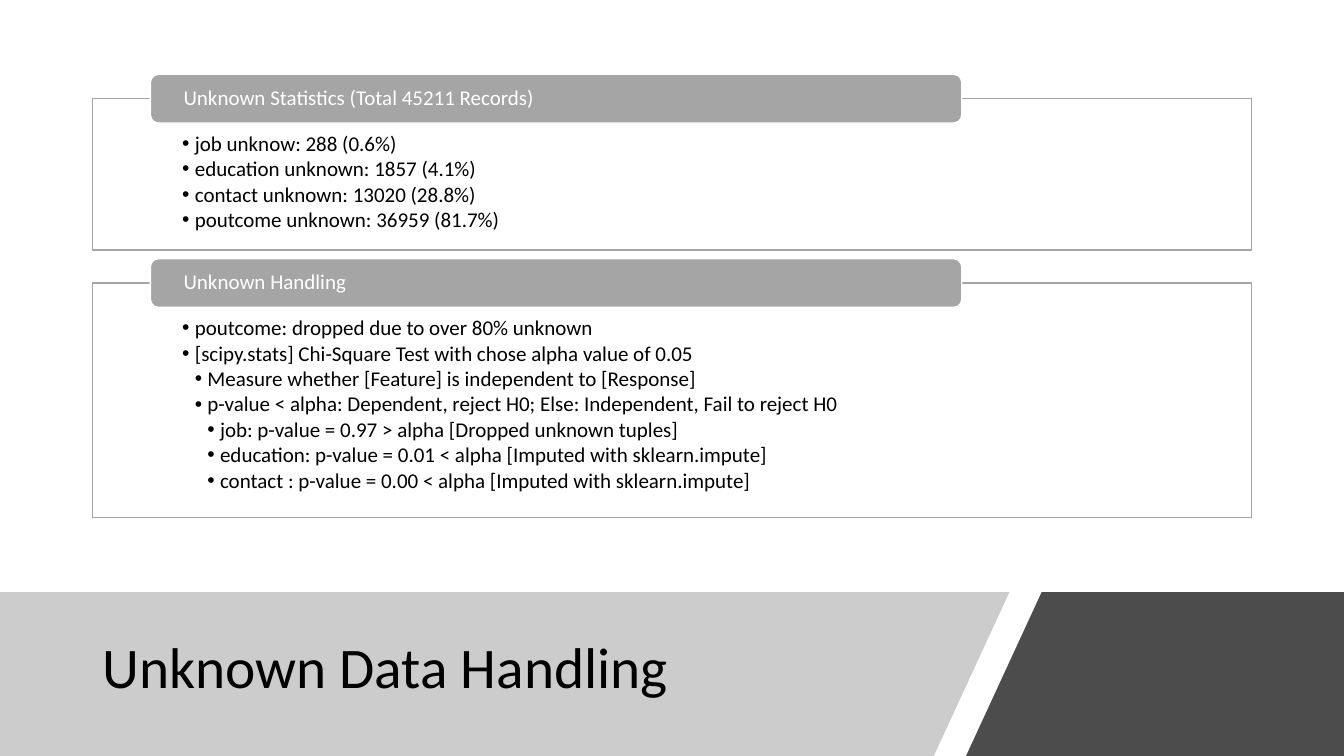
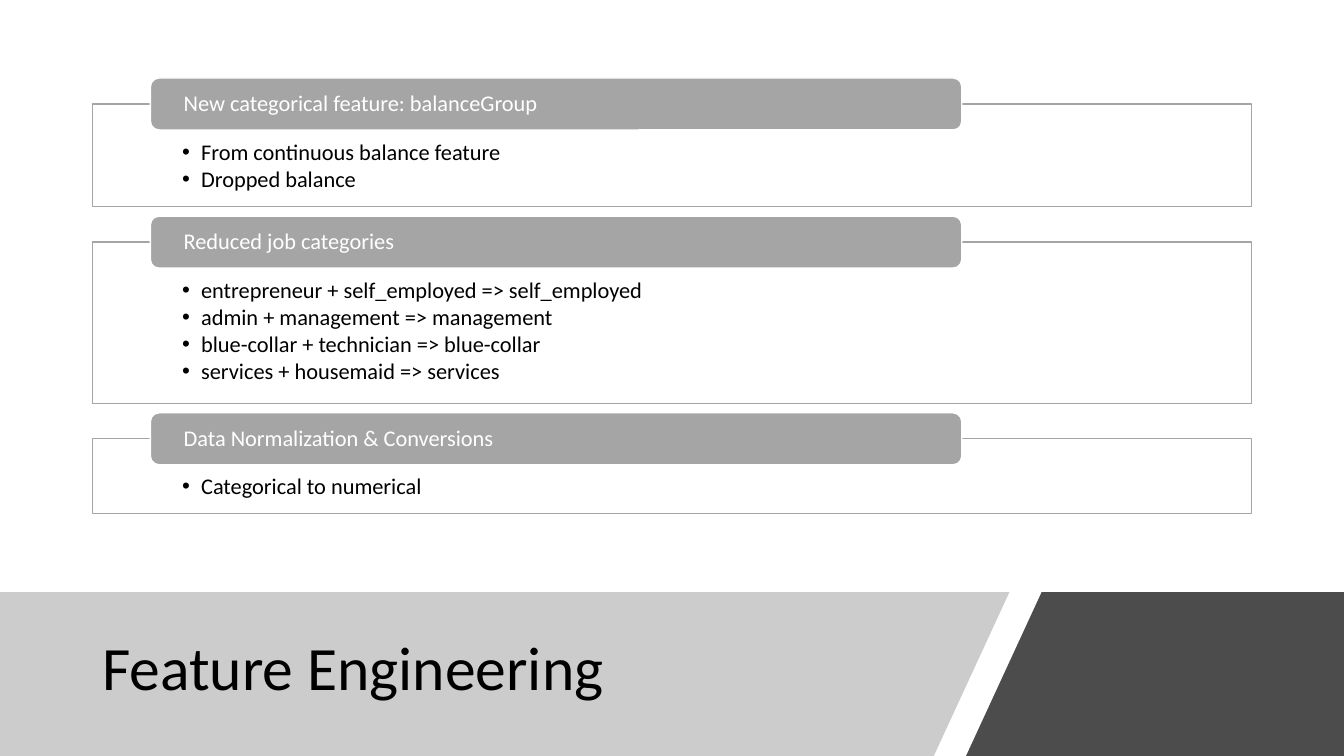
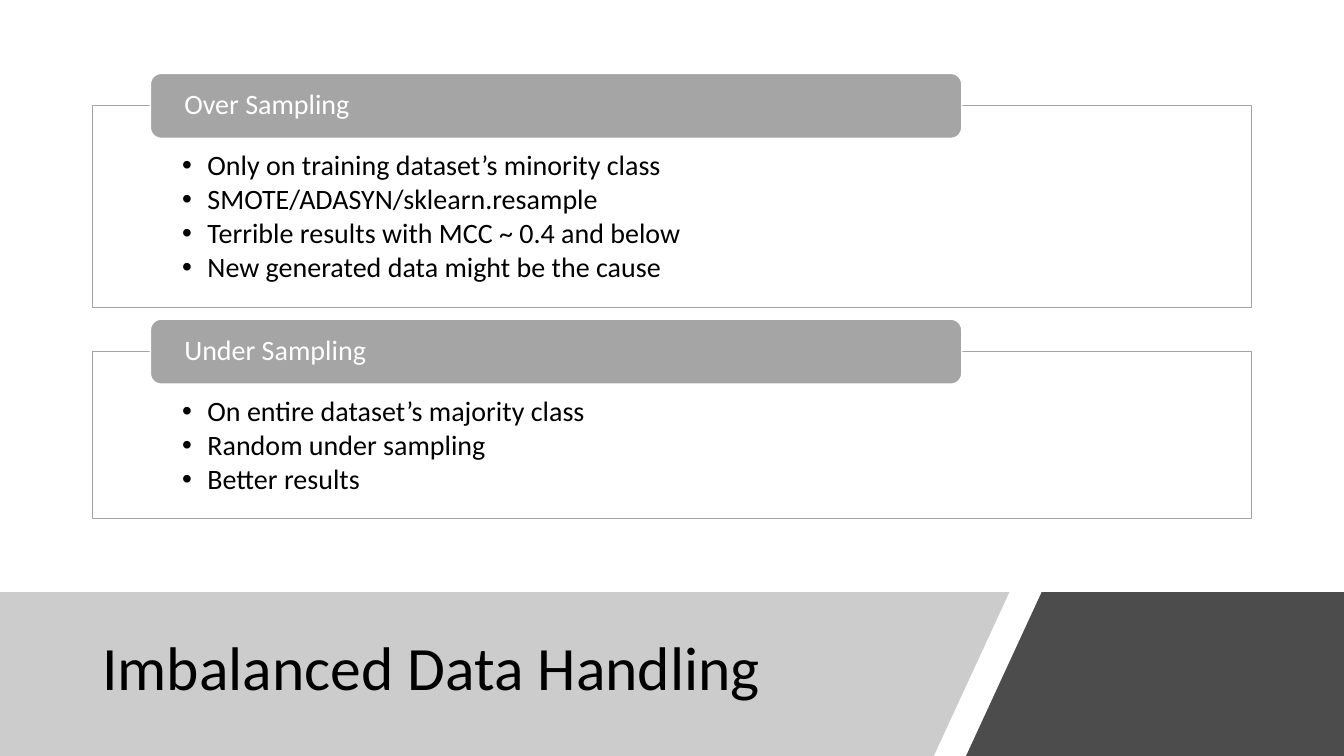
from pptx import Presentation
from pptx.dml.color import RGBColor
from pptx.enum.shapes import MSO_SHAPE
from pptx.enum.text import MSO_ANCHOR, PP_ALIGN
from pptx.oxml.ns import qn
from pptx.util import Pt
from lxml import etree

SLIDES = [
    {
        "title": "Unknown Data Handling", "title_size": 41,
        "size": 15, "indent": 9, "top": 70.5,
        "panels": [
            ("Unknown Statistics (Total 45211 Records)", 108, [
                (1, "job unknow: 288 (0.6%)"),
                (1, "education unknown: 1857 (4.1%)"),
                (1, "contact unknown: 13020 (28.8%)"),
                (1, "poutcome unknown: 36959 (81.7%)"),
            ]),
            ("Unknown Handling", 167.5, [
                (1, "poutcome: dropped due to over 80% unknown"),
                (1, "[scipy.stats] Chi-Square Test with chose alpha value of 0.05"),
                (2, "Measure whether [Feature] is independent to [Response]"),
                (2, "p-value < alpha: Dependent, reject H0; Else: Independent, Fail to reject H0"),
                (3, "job: p-value = 0.97 > alpha [Dropped unknown tuples]"),
                (3, "education: p-value = 0.01 < alpha [Imputed with sklearn.impute]"),
                (3, "contact : p-value = 0.00 < alpha [Imputed with sklearn.impute]"),
            ]),
        ],
    },
    {
        "title": "Feature Engineering", "title_size": 44,
        "size": 16, "indent": 13.5, "top": 74.3,
        "panels": [
            ("New categorical feature: balanceGroup", 73.4, [
                (1, "From continuous balance feature"),
                (1, "Dropped balance"),
            ]),
            ("Reduced job categories", 115.2, [
                (1, "entrepreneur + self_employed => self_employed"),
                (1, "admin + management => management"),
                (1, "blue-collar + technician => blue-collar"),
                (1, "services + housemaid => services"),
            ]),
            ("Data Normalization & Conversions", 53.3, [
                (1, "Categorical to numerical"),
            ]),
        ],
    },
    {
        "title": "Imbalanced Data Handling", "title_size": 44,
        "size": 20, "indent": 18, "top": 75.6,
        "panels": [
            ("Over Sampling", 144, [
                (1, "Only on training dataset\u2019s minority class"),
                (1, "SMOTE/ADASYN/sklearn.resample"),
                (1, "Terrible results with MCC ~ 0.4 and below"),
                (1, "New generated data might be the cause"),
            ]),
            ("Under Sampling", 119, [
                (1, "On entire dataset\u2019s majority class"),
                (1, "Random under sampling"),
                (1, "Better results"),
            ]),
        ],
    },
]

FONT = "Calibri"
BLACK = RGBColor(0x00, 0x00, 0x00)
WHITE = RGBColor(0xFF, 0xFF, 0xFF)
GRAY = RGBColor(0x80, 0x80, 0x80)
TAB_GRAY = RGBColor(0xA5, 0xA5, 0xA5)

WIDTH, HEIGHT = 960, 540
BAND_TOP = 422.6
BANDS = [
    (GRAY, 40, [(0, BAND_TOP), (721.4, BAND_TOP), (666.8, HEIGHT), (0, HEIGHT)]),
    (BLACK, 70, [(744.4, BAND_TOP), (WIDTH, BAND_TOP), (WIDTH, HEIGHT), (689.8, HEIGHT)]),
]
PANEL_LEFT, PANEL_WIDTH = 66, 828
TAB_LEFT = PANEL_LEFT + 0.05 * PANEL_WIDTH
TAB_WIDTH = 0.7 * PANEL_WIDTH
TAB_RATIO, GAP_RATIO, INSET_RATIO, SPACE_RATIO = 2.32, 1.58, 1.64, 0.13


def fill_shape(shape, color, opacity=100):
    shape.shadow.inherit = False
    shape.fill.solid()
    shape.fill.fore_color.rgb = color
    if opacity < 100:
        color_element = shape.fill._xPr.find(qn("a:solidFill"))[0]
        etree.SubElement(color_element, qn("a:alpha")).set("val", str(opacity * 1000))


def set_frame(shape, anchor, insets):
    frame = shape.text_frame
    frame.word_wrap = True
    frame.vertical_anchor = anchor
    frame.margin_left, frame.margin_top, frame.margin_right, frame.margin_bottom = map(Pt, insets)
    return frame


def write(paragraph, text, size, color):
    paragraph.alignment = PP_ALIGN.LEFT
    paragraph.line_spacing = 0.9
    run = paragraph.add_run()
    run.text = text
    run.font.name = FONT
    run.font.size = Pt(size)
    run.font.color.rgb = color


def add_bullet(paragraph, level, indent):
    paragraph.level = level
    properties = paragraph._p.get_or_add_pPr()
    properties.set("marL", str(Pt(indent * level)))
    properties.set("indent", str(-Pt(indent)))
    etree.SubElement(properties, qn("a:buFont")).set("typeface", "Arial")
    etree.SubElement(properties, qn("a:buChar")).set("char", "\u2022")


def add_box(slide, kind, left, top, width, height, color, line_color, opacity=100):
    box = slide.shapes.add_shape(kind, Pt(left), Pt(top), Pt(width), Pt(height))
    fill_shape(box, color, opacity)
    box.line.color.rgb = line_color
    box.line.width = Pt(1)
    return box


def add_bands(slide):
    for color, opacity, points in BANDS:
        builder = slide.shapes.build_freeform(*points[0], scale=Pt(1))
        builder.add_line_segments(points[1:], close=True)
        band = builder.convert_to_shape()
        fill_shape(band, color, opacity)
        band.line.fill.background()


def add_title(slide, text, size):
    title = slide.shapes.add_textbox(Pt(66), Pt(435.6), Pt(607.7), Pt(86.4))
    frame = set_frame(title, MSO_ANCHOR.MIDDLE, (7.2, 3.6, 7.2, 3.6))
    write(frame.paragraphs[0], text, size, BLACK)


def add_panel(slide, top, height, heading, bullets, size, indent):
    panel = add_box(slide, MSO_SHAPE.RECTANGLE, PANEL_LEFT, top, PANEL_WIDTH, height,
                    WHITE, TAB_GRAY, 90)
    frame = set_frame(panel, MSO_ANCHOR.TOP, (64.2, INSET_RATIO * size, 64.2, 0.56 * size))
    for index, (level, text) in enumerate(bullets):
        paragraph = frame.add_paragraph() if index else frame.paragraphs[0]
        write(paragraph, text, size, BLACK)
        paragraph.space_after = Pt(SPACE_RATIO * size)
        add_bullet(paragraph, level, indent)

    tab_height = TAB_RATIO * size
    tab = add_box(slide, MSO_SHAPE.ROUNDED_RECTANGLE, TAB_LEFT, top - tab_height / 2,
                  TAB_WIDTH, tab_height, TAB_GRAY, WHITE)
    frame = set_frame(tab, MSO_ANCHOR.MIDDLE, (22, 0, 22, 0))
    write(frame.paragraphs[0], heading, size, WHITE)


presentation = Presentation()
presentation.slide_width, presentation.slide_height = Pt(WIDTH), Pt(HEIGHT)
for content in SLIDES:
    slide = presentation.slides.add_slide(presentation.slide_layouts[6])
    add_bands(slide)
    add_title(slide, content["title"], content["title_size"])
    size, top = content["size"], content["top"]
    for heading, height, bullets in content["panels"]:
        add_panel(slide, top, height, heading, bullets, size, content["indent"])
        top += height + GAP_RATIO * size
presentation.save("out.pptx")
